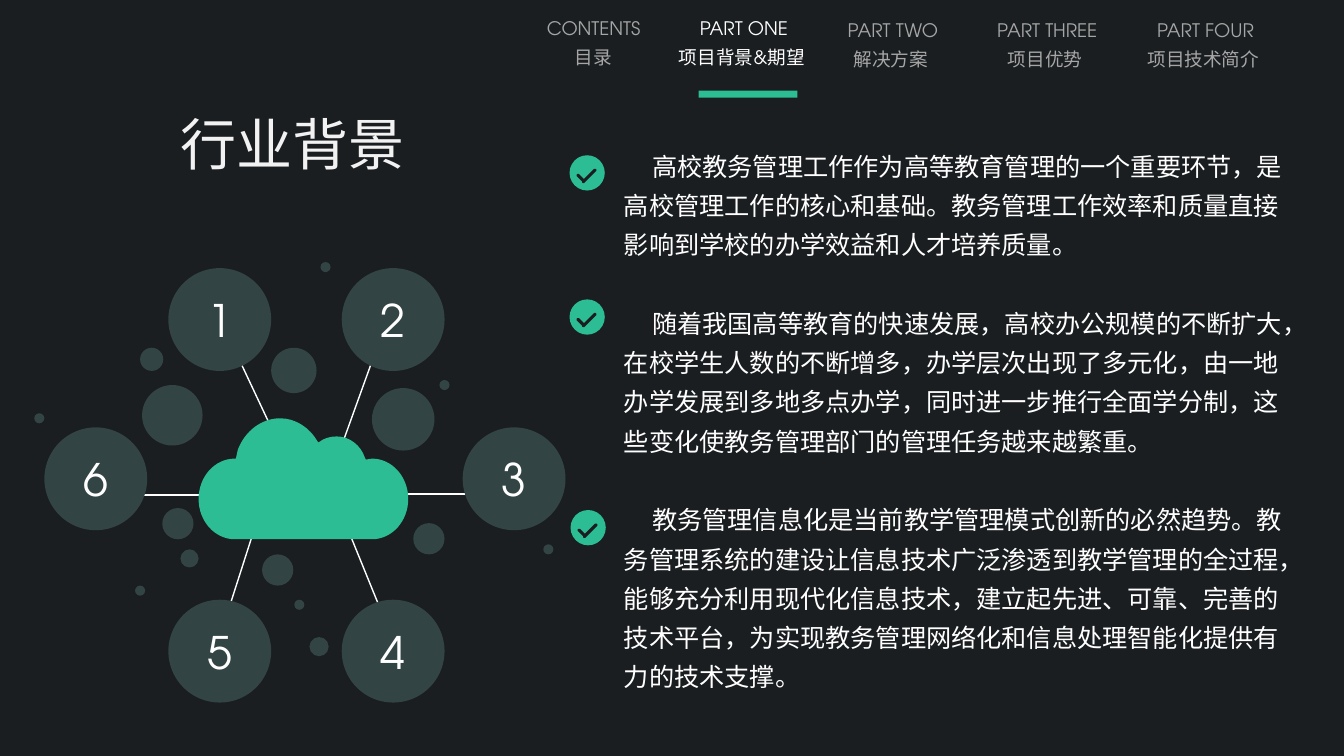
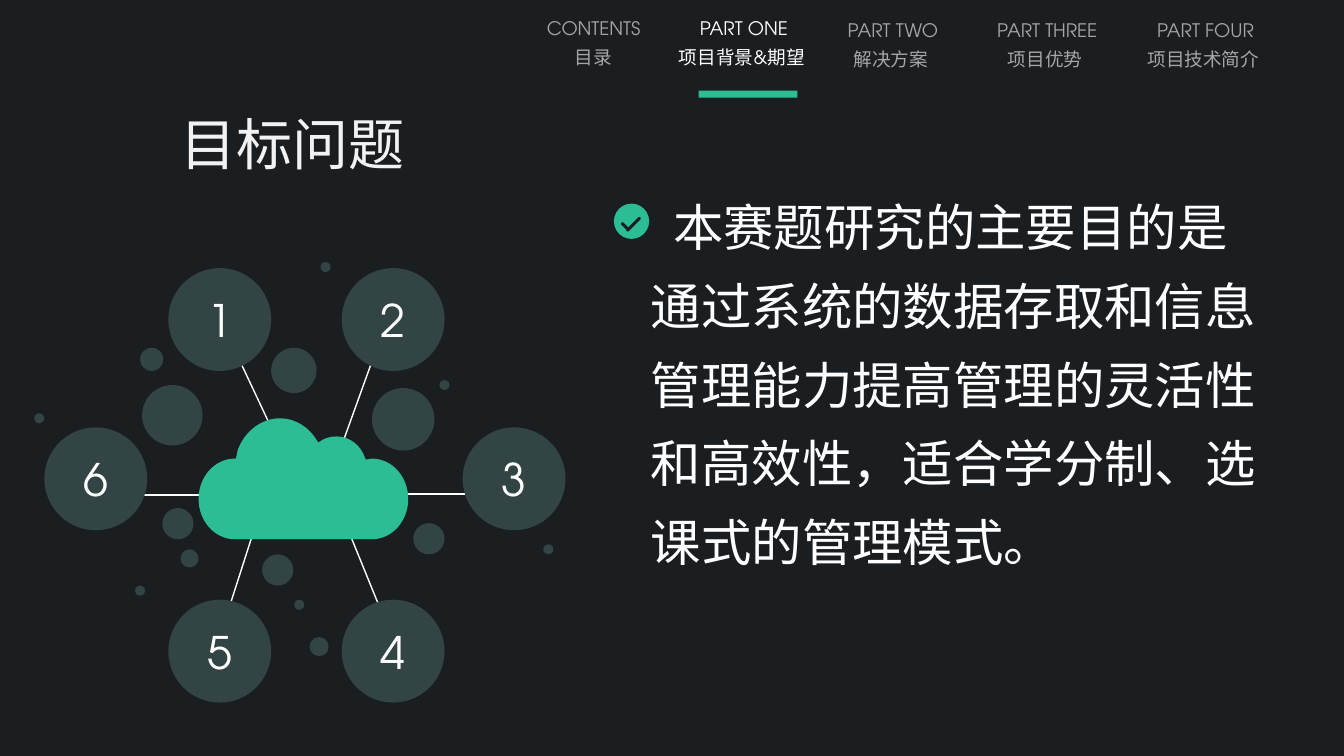
from lxml.etree import SubElement
from pptx import Presentation
from pptx.dml.color import RGBColor
from pptx.enum.shapes import MSO_CONNECTOR as Link, MSO_SHAPE as Kind
from pptx.enum.text import MSO_ANCHOR as Anchor, MSO_AUTO_SIZE as Fit, PP_ALIGN as Align
from pptx.oxml.ns import qn
from pptx.util import Inches, Pt

FONT = "TeX Gyre Adventor"
HUES = {
    "back": "1A1E21",
    "green": "2CBD94",
    "node": "324444",
    "white": "FFFFFF",
    "title": "F2F2F2",
    "dim": "A6A6A6",
}

# centre, top, label, name
TABS = [
    (5.89, 0.05, "CONTENTS", "目录"),
    (7.38, 0.05, "PART ONE", "项目背景&期望 "),
    (8.86, 0.07, "PART TWO", "解决方案 "),
    (10.39, 0.07, "PART THREE", "项目优势 "),
    (11.96, 0.07, "PART FOUR", "项目技术简介 "),
]
ACTIVE = 1

# Offsets from the top left corner of the network
NODES = [(1.33, 0.06), (3.05, 0.06), (4.25, 1.64),
         (3.05, 3.35), (1.33, 3.35), (0.1, 1.64)]
NODE = 1.02
SPOKES = [
    (2.03, 0.96, 2.35, 1.64), (3.41, 0.82, 3.05, 1.82),
    (0.87, 2.31, 1.79, 2.31), (3.51, 2.3, 4.43, 2.3),
    (1.84, 3.72, 2.18, 2.66), (3.51, 3.63, 3.05, 2.5),
]
# diameter: places
DOTS = {
    0.62: [(3.35, 1.25)],
    0.6: [(1.07, 1.22)],
    0.45: [(2.35, 0.85)],
    0.31: [(2.26, 2.9), (3.76, 2.59), (1.27, 2.44)],
    0.23: [(1.05, 0.85)],
    0.19: [(2.73, 3.72)],
    0.18: [(1.45, 2.85)],
    0.1: [(2.84, 0), (4.02, 1.17), (0, 1.5),
          (5.05, 2.8), (2.58, 3.35), (1, 3.21)],
}
# Offsets in the network: one point is a line, three are a curve
CLOUD = [
    [(2.44, 1.55)],
    [(2.59, 1.55), (2.73, 1.64), (2.81, 1.78)],
    [(2.82, 1.79)],
    [(2.87, 1.75), (2.93, 1.73), (3, 1.73)],
    [(3.13, 1.73), (3.24, 1.82), (3.28, 1.94)],
    [(3.29, 1.96)],
    [(3.35, 1.95)],
    [(3.55, 1.95), (3.71, 2.13), (3.71, 2.35)],
    [(3.71, 2.57), (3.55, 2.75), (3.35, 2.75)],
    [(1.99, 2.75)],
    [(1.79, 2.75), (1.63, 2.57), (1.63, 2.35)],
    [(1.63, 2.13), (1.79, 1.95), (1.99, 1.95)],
    [(2, 1.95)],
    [(2.02, 1.86)],
    [(2.09, 1.68), (2.25, 1.55), (2.44, 1.55)],
]

PAGES = [
    {
        "title": "行业背景",
        "box": (6.09, 1.36, 6.82, 5.61),
        "size": 18,
        "indent": 0.28,
        "gap": 28,
        "ticks": [(5.65, 1.54), (5.65, 2.97), (5.66, 5.06)],
        "text": [
            "高校教务管理工作作为高等教育管理的一个重要环节，是高校管理工作的核心和基础。"
            "教务管理工作效率和质量直接影响到学校的办学效益和人才培养质量。",
            "随着我国高等教育的快速发展，高校办公规模的不断扩大，在校学生人数的不断增多，"
            "办学层次出现了多元化，由一地办学发展到多地多点办学，同时进一步推行全面学分制，"
            "这些变化使教务管理部门的管理任务越来越繁重。",
            "教务管理信息化是当前教学管理模式创新的必然趋势。"
            "教务管理系统的建设让信息技术广泛渗透到教学管理的全过程，"
            "能够充分利用现代化信息技术，建立起先进、可靠、完善的技术平台，"
            "为实现教务管理网络化和信息处理智能化提供有力的技术支撑。",
        ],
    },
    {
        "title": "目标问题",
        "box": (6.36, 1.72, 6.29, 4.04),
        "size": 36,
        "indent": 0.22,
        "gap": 0,
        "ticks": [(6.09, 2.02)],
        "text": [
            "本赛题研究的主要目的是通过系统的数据存取和信息管理能力提高管理的灵活性和高效性，"
            "适合学分制、选课式的管理模式。",
        ],
    },
]


def rgb(hue):
    return RGBColor.from_string(HUES[hue])


def style(para, size, hue, align=Align.LEFT, lead=None):
    para.font.name = FONT
    para.font.size = Pt(size)
    para.font.color.rgb = rgb(hue)
    para.alignment = align
    para.line_spacing = lead


def paint(shape, hue):
    shape.shadow.inherit = False
    shape.fill.solid()
    shape.fill.fore_color.rgb = rgb(hue)
    shape.line.fill.background()


def add(shapes, kind, box, hue):
    shape = shapes.add_shape(kind, *map(Inches, box))
    paint(shape, hue)
    return shape


def spoke(shapes, ends):
    line = shapes.add_connector(Link.STRAIGHT, *map(Inches, ends))
    line.line.color.rgb = rgb("white")
    line.line.width = Pt(1)
    SubElement(line._element.spPr, qn("a:effectLst"))


def cloud(shapes, left, top):
    """Draw straight lines through all points, then merge threes into curves."""
    start, *rest = [(Inches(left + x), Inches(top + y))
                    for part in CLOUD for x, y in part]
    pen = shapes.build_freeform(*start)
    pen.add_line_segments(rest, close=True)
    shape = pen.convert_to_shape()
    lines = shape._element.iter(qn("a:lnTo"))
    lines = iter(list(lines))
    for part in CLOUD[1:]:
        line = next(lines)
        if len(part) == 3:
            line.tag = qn("a:cubicBezTo")
            for _ in range(2):
                extra = next(lines)
                line.append(extra[0])
                extra.getparent().remove(extra)
    paint(shape, "green")


def network(slide, left, top):
    """Place the cloud with its numbered nodes and loose dots."""
    shapes = slide.shapes.add_group_shape().shapes
    for x1, y1, x2, y2 in SPOKES:
        spoke(shapes, (left + x1, top + y1, left + x2, top + y2))
    cloud(shapes, left, top)
    for num, (x, y) in enumerate(NODES, 1):
        node = add(shapes, Kind.OVAL, (left + x, top + y, NODE, NODE), "node")
        frame = node.text_frame
        frame.text = str(num)
        frame.vertical_anchor = Anchor.MIDDLE
        style(frame.paragraphs[0], 32, "white", Align.CENTER)
    for size, spots in DOTS.items():
        for x, y in spots:
            add(shapes, Kind.OVAL, (left + x, top + y, size, size), "node")


def tick(slide, left, top):
    shapes = slide.shapes.add_group_shape().shapes
    add(shapes, Kind.OVAL, (left, top, 0.35, 0.35), "green")
    for x, y, width, turn in [(0.07, 0.22, 0.08, 45), (0.11, 0.2, 0.17, 315)]:
        bar = add(shapes, Kind.RECTANGLE, (left + x, top + y, width, 0.01), "back")
        bar.rotation = turn
        bar.line.color.rgb = rgb("back")
        bar.line.width = Pt(1.5)


def menu(slide, width=1.56, height=0.69):
    for num, (mid, top, label, name) in enumerate(TABS):
        box = slide.shapes.add_textbox(
            *map(Inches, (mid - width / 2, top, width, height)))
        frame = box.text_frame
        frame.word_wrap = False
        frame.text = f"{label}\n{name}"
        for para in frame.paragraphs:
            style(para, 13.3, "white" if num == ACTIVE else "dim", Align.CENTER, 1.3)
    mid = TABS[ACTIVE][0] + 0.04
    add(slide.shapes, Kind.RECTANGLE, (mid - 0.49, 0.9, 0.98, 0.07), "green")


def heading(slide, text):
    title = slide.shapes.title
    title.left, title.top, title.width, title.height = map(
        Inches, (1.34, 1.04, 2.77, 0.77))
    frame = title.text_frame
    frame.text = text
    frame.auto_size = Fit.NONE
    frame.vertical_anchor = Anchor.TOP
    style(frame.paragraphs[0], 40, "title", Align.RIGHT)


def body(slide, page):
    frame = slide.shapes.add_textbox(*map(Inches, page["box"])).text_frame
    frame.word_wrap = True
    frame.text = "\n".join(page["text"])
    for num, para in enumerate(frame.paragraphs):
        style(para, page["size"], "white", lead=1.3)
        para.space_before = Pt(page["gap"] if num else 0)
        para._p.get_or_add_pPr().set("indent", str(Inches(page["indent"])))
    for spot in page["ticks"]:
        tick(slide, *spot)


def main():
    deck = Presentation()
    deck.slide_width, deck.slide_height = Inches(40 / 3), Inches(7.5)
    back = deck.slide_master.background.fill
    back.solid()
    back.fore_color.rgb = rgb("back")
    for page in PAGES:
        slide = deck.slides.add_slide(deck.slide_layouts[5])
        heading(slide, page["title"])
        menu(slide)
        network(slide, 0.34, 2.6)
        body(slide, page)
    deck.save("out.pptx")


if __name__ == "__main__":
    main()
